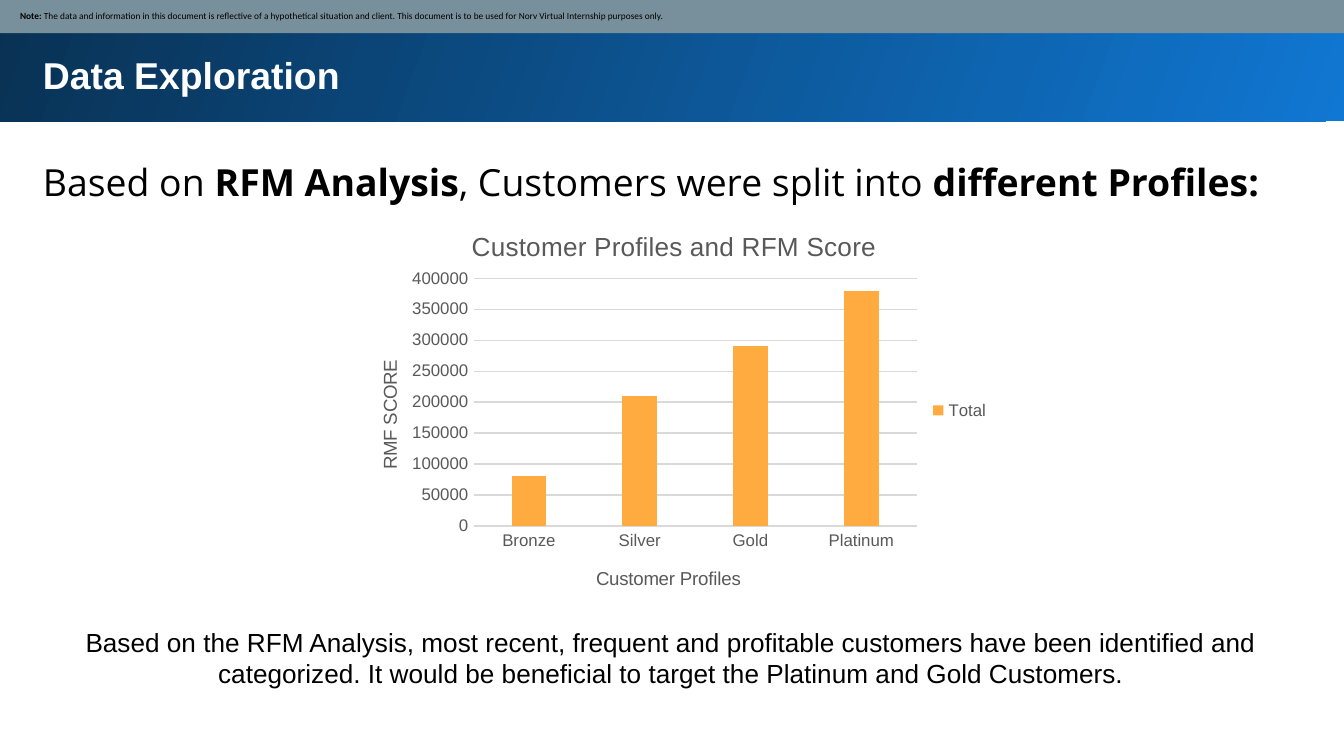
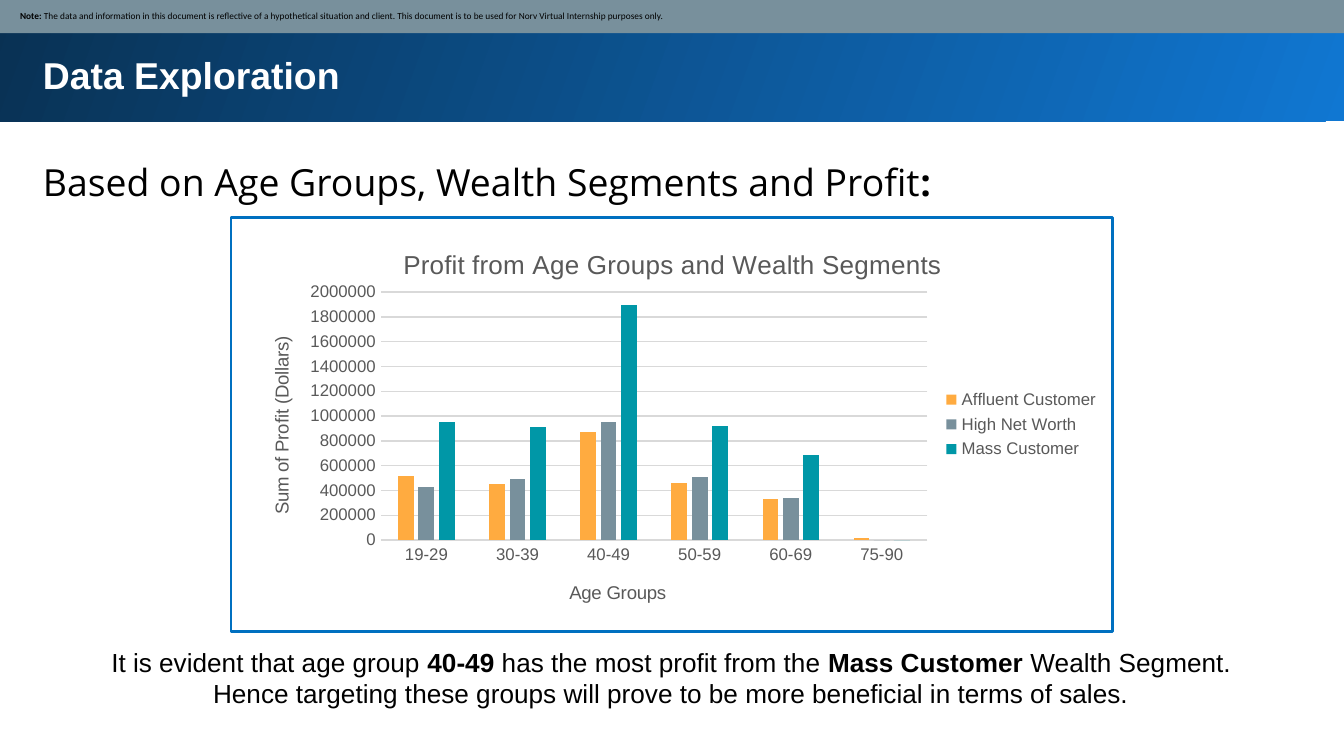
"""Build two slides on customer profiles and profit by age group."""
import pptx
import pptx.chart.data
import pptx.dml.color
import pptx.enum.chart
import pptx.enum.shapes
import pptx.enum.text
import pptx.oxml
import pptx.oxml.ns
import pptx.util

Cm = pptx.util.Cm
Pt = pptx.util.Pt
RGB = pptx.dml.color.RGBColor
ALIGN = pptx.enum.text.PP_ALIGN
ANCHOR = pptx.enum.text.MSO_ANCHOR
RECT = pptx.enum.shapes.MSO_SHAPE.RECTANGLE
TICK = pptx.enum.chart.XL_TICK_MARK

WHITE = RGB(0xFF, 0xFF, 0xFF)
BLACK = RGB(0, 0, 0)
SKY = RGB(0x10, 0x77, 0xD2)
NAVY = RGB(0x09, 0x31, 0x53)
SLATE = RGB(0x78, 0x90, 0x9C)
AMBER = RGB(0xFF, 0xAB, 0x40)
TEAL = RGB(0x00, 0x97, 0xA7)
GREY = RGB(0x59, 0x59, 0x59)
PALE = RGB(0xD9, 0xD9, 0xD9)
EDGE = RGB(0x00, 0x70, 0xC0)

NOTE = ("*Note: *The data and information in this document is reflective of a "
        "hypothetical situation and client. This document is to be used for "
        "Norv Virtual Internship purposes only.")

PAGES = [
    dict(
        lead="Based on *RFM Analysis*, Customers were split into *different Profiles:*",
        foot="Based on the RFM Analysis, most recent, frequent and profitable "
             "customers have been identified and categorized. It would be "
             "beneficial to target the Platinum and Gold Customers.",
        low=11.71,
        area=(6.45, 3.86, 12.5, 7.8),
        plot=(0.2, 0.18, 0.67, 0.6),
        head=("Customer Profiles and RFM Score", 0.19, 0.05),
        base=("Customer Profiles", 0.38, 0.87),
        side=("RMF SCORE", 0.05, 0.37),
        cats=["Bronze", "Silver", "Gold", "Platinum"],
        rows=[("Total", AMBER, [80000, 210000, 290000, 380000])],
        top=400000, step=50000, edge=False),
    dict(
        lead="Based on Age Groups, Wealth Segments and Profit*:*",
        foot="It is evident that age group *40-49* has the most profit from the "
             "*Mass Customer *Wealth Segment. Hence targeting these groups will "
             "prove to be more beneficial in terms of sales.",
        low=12.09,
        area=(4.34, 4.09, 16.71, 7.87),
        plot=(0.17, 0.18, 0.62, 0.6),
        head=("Profit from Age Groups and Wealth Segments", 0.19, 0.06),
        base=("Age Groups", 0.38, 0.87),
        side=("Sum of Profit (Dollars)", 0.04, 0.28),
        cats=["19-29", "30-39", "40-49", "50-59", "60-69", "75-90"],
        rows=[("Affluent Customer", AMBER,
               [520000, 450000, 870000, 460000, 330000, 20000]),
              ("High Net Worth", SLATE,
               [430000, 490000, 950000, 510000, 340000, 0]),
              ("Mass Customer", TEAL,
               [950000, 910000, 1900000, 920000, 690000, 0])],
        top=2000000, step=200000, edge=True),
]


def write(frame, text, size=14, font="Arial", color=BLACK, bold=False,
          align=ALIGN.LEFT, space=None):
    """Fill a frame; stars switch bold on and off."""
    para = frame.paragraphs[0]
    para.alignment = align
    if space:
        para.line_spacing = space
    for num, part in enumerate(text.split("*")):
        if part:
            run = para.add_run()
            run.text = part
            run.font.size = Pt(size)
            run.font.name = font
            run.font.color.rgb = color
            run.font.bold = bold or num % 2 == 1


def place(node, spot, **vals):
    """Give a chart part a manual layout at the given child index."""
    for old in node.findall(pptx.oxml.ns.qn("c:layout")):
        node.remove(old)
    inner = '<c:layoutTarget val="inner"/>' if "w" in vals else ""
    modes = '<c:xMode val="edge"/><c:yMode val="edge"/>'
    sizes = "".join(f'<c:{key} val="{val}"/>' for key, val in vals.items())
    node.insert(spot, pptx.oxml.parse_xml(
        f'<c:layout {pptx.oxml.ns.nsdecls("c")}><c:manualLayout>'
        f'{inner}{modes}{sizes}</c:manualLayout></c:layout>'))


deck = pptx.Presentation()
deck.slide_width = Cm(25.4)
deck.slide_height = Cm(14.29)

for page in PAGES:
    slide = deck.slides.add_slide(deck.slide_layouts[5])
    shapes = slide.shapes
    title = shapes.title

    band = shapes.add_shape(RECT, Cm(-0.05), Cm(-0.05), Cm(25.53), Cm(2.34))
    band.fill.gradient()
    band.fill.gradient_angle = 160
    for stop, color, pos in zip(band.fill.gradient_stops, (SKY, NAVY), (0, 1)):
        stop.color.rgb = color
        stop.position = pos
    shapes._spTree.append(title._element)

    strip = shapes.add_shape(RECT, Cm(-0.03), Cm(-0.03), Cm(25.48), Cm(0.66))
    strip.fill.solid()
    strip.fill.fore_color.rgb = SLATE
    for shape in (band, strip):
        shape.line.fill.background()
        shape.shadow.inherit = False

    title.left, title.top, title.width, title.height = (
        Cm(0.56), Cm(0.74), Cm(23.8), Cm(1.3))
    lead = shapes.add_textbox(Cm(0.56), Cm(2.64), Cm(23.8), Cm(1.42))
    foot = shapes.add_textbox(Cm(1.32), Cm(page["low"]), Cm(22.73), Cm(1.45))
    for shape, pad, left in ((title, 0.25, 0.25), (lead, 0.25, 0.25),
                             (foot, 0.13, 0.13), (strip, 0.13, 0.41)):
        frame = shape.text_frame
        frame.word_wrap = True
        frame.auto_size = pptx.enum.text.MSO_AUTO_SIZE.NONE
        frame.vertical_anchor = ANCHOR.MIDDLE if shape is strip else ANCHOR.TOP
        frame.margin_left = Cm(left)
        frame.margin_top = frame.margin_right = frame.margin_bottom = Cm(pad)
    write(title.text_frame, "Data Exploration", size=20, color=WHITE, bold=True)
    write(lead.text_frame, page["lead"], size=20, font="Open Sans", space=1.15)
    write(foot.text_frame, page["foot"], align=ALIGN.CENTER)
    write(strip.text_frame, NOTE, size=5, font="Calibri")

    data = pptx.chart.data.CategoryChartData()
    data.categories = page["cats"]
    for name, color, vals in page["rows"]:
        data.add_series(name, vals)
    chart = shapes.add_chart(
        pptx.enum.chart.XL_CHART_TYPE.COLUMN_CLUSTERED,
        *[Cm(num) for num in page["area"]], data).chart
    chart.font.name = "Arial"
    chart.font.size = Pt(10)
    chart.font.color.rgb = BLACK

    plot = chart.plots[0]
    plot.gap_width = 219
    plot.overlap = -27
    plot.vary_by_categories = False
    for bars, (name, color, vals) in zip(plot.series, page["rows"]):
        bars.format.fill.solid()
        bars.format.fill.fore_color.rgb = color

    base, side = chart.category_axis, chart.value_axis
    chart.has_legend = True
    chart.legend.position = pptx.enum.chart.XL_LEGEND_POSITION.RIGHT
    chart.legend.include_in_layout = False
    for font in (base.tick_labels.font, side.tick_labels.font, chart.legend.font):
        font.name = "Arial"
        font.size = Pt(9)
        font.color.rgb = GREY
    for axis in (base, side):
        axis.major_tick_mark = axis.minor_tick_mark = TICK.NONE
    side.minimum_scale = 0
    side.maximum_scale = page["top"]
    side.major_unit = page["step"]
    side.has_major_gridlines = True
    side.format.line.fill.background()
    for line in (base.format.line, side.major_gridlines.format.line):
        line.color.rgb = PALE
        line.width = Pt(0.75)

    chart.has_title = True
    for label, key, size in ((chart.chart_title, "head", 14),
                             (base.axis_title, "base", 10),
                             (side.axis_title, "side", 10)):
        text, x, y = page[key]
        write(label.text_frame, text, size=size, color=GREY, align=ALIGN.CENTER)
        place(label._element, 1, x=x, y=y)
    turn = side.axis_title.text_frame._txBody.bodyPr
    turn.set("rot", "-5400000")
    turn.set("vert", "horz")
    x, y, w, h = page["plot"]
    place(chart._chartSpace.chart.plotArea, 0, x=x, y=y, w=w, h=h)

    line = "<a:ln><a:noFill/></a:ln>"
    if page["edge"]:
        line = (f'<a:ln w="{Pt(1.5)}"><a:solidFill><a:srgbClr val="{EDGE}"/>'
                "</a:solidFill></a:ln>")
    chart._chartSpace.chart.addnext(pptx.oxml.parse_xml(
        f'<c:spPr {pptx.oxml.ns.nsdecls("c", "a")}><a:noFill/>{line}</c:spPr>'))

deck.save("out.pptx")
